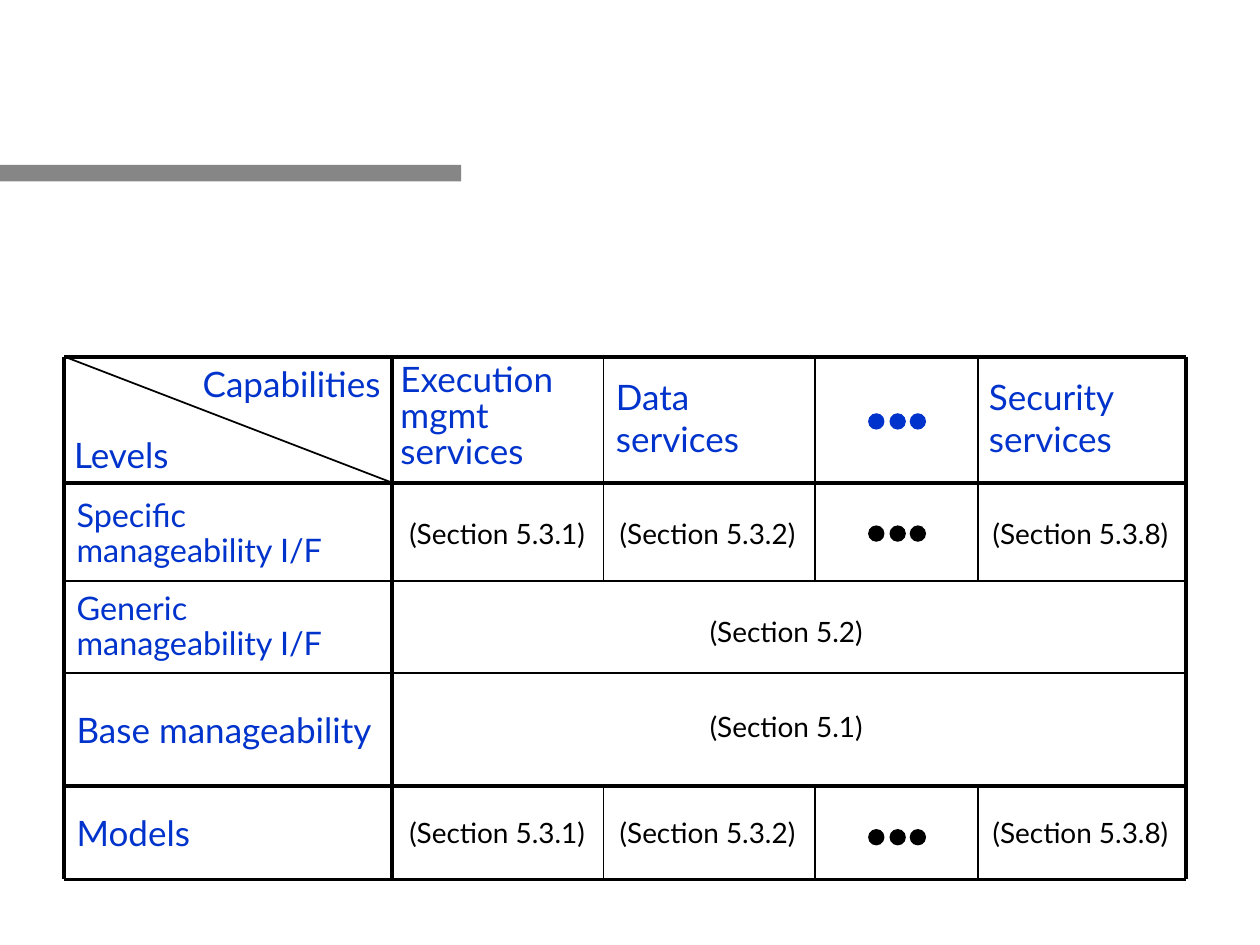
from dataclasses import dataclass

from lxml import etree
from pptx import Presentation
from pptx.dml.color import RGBColor
from pptx.enum import shapes, text
from pptx.oxml.ns import qn
from pptx.util import Inches, Pt

COLORS = {"label": "0033CC", "ink": "000000", "bar": "868686"}
FONT = "Lato"
THICK, THIN = 2.25, 1

# Grid of the matrix: column edges, then row edges
LEFT, LABEL_END, DATA, MORE, SECURITY, RIGHT = 0.51, 3.11, 4.79, 6.47, 7.76, 9.41
TOP, SPECIFIC, GENERIC, BASE, MODELS, BOTTOM = 2.83, 3.83, 4.61, 5.34, 6.24, 6.98


@dataclass
class Label:
    wording: str
    left: float
    top: float
    width: float
    height: float
    size: float = 20
    color: str = "label"
    align: text.PP_ALIGN = text.PP_ALIGN.LEFT
    anchor: text.MSO_ANCHOR = text.MSO_ANCHOR.MIDDLE
    spacing: float = 1.0
    wrap: bool = True


@dataclass
class Rule:
    x1: float
    y1: float
    x2: float
    y2: float
    weight: float


def section(number: str, left: float, top: float, width: float = 1.65) -> Label:
    """A reference to a section, centred in its cell."""
    return Label(f"(Section {number})", left, top, width, 0.37, 16, "ink",
                 text.PP_ALIGN.CENTER, text.MSO_ANCHOR.TOP, wrap=False)


def draw_label(slide, label: Label) -> None:
    box = slide.shapes.add_textbox(Inches(label.left), Inches(label.top),
                                   Inches(label.width), Inches(label.height))
    frame = box.text_frame
    frame.word_wrap = label.wrap
    frame.vertical_anchor = label.anchor
    if not label.wrap:
        frame.auto_size = text.MSO_AUTO_SIZE.SHAPE_TO_FIT_TEXT
    paragraph = frame.paragraphs[0]
    paragraph.text = label.wording
    paragraph.alignment = label.align
    paragraph.line_spacing = label.spacing
    for run in paragraph.runs:
        run.font.name = FONT
        run.font.size = Pt(label.size)
        run.font.color.rgb = RGBColor.from_string(COLORS[label.color])


def draw_rule(slide, rule: Rule) -> None:
    line = slide.shapes.add_connector(
        shapes.MSO_CONNECTOR.STRAIGHT, Inches(rule.x1), Inches(rule.y1),
        Inches(rule.x2), Inches(rule.y2))
    line.line.color.rgb = RGBColor.from_string(COLORS["ink"])
    line.line.width = Pt(rule.weight)
    etree.SubElement(line._element.spPr, qn("a:effectLst"))


def draw_solid(slide, kind: shapes.MSO_SHAPE, left: float, top: float,
               width: float, height: float, color: str) -> None:
    solid = slide.shapes.add_shape(kind, Inches(left), Inches(top),
                                   Inches(width), Inches(height))
    solid.shadow.inherit = False
    solid.fill.solid()
    solid.fill.fore_color.rgb = RGBColor.from_string(COLORS[color])
    solid.line.fill.background()


def draw_ellipsis(slide, top: float, color: str) -> None:
    """Three dots standing for the columns left out."""
    for left in (6.89, 7.06, 7.22):
        draw_solid(slide, shapes.MSO_SHAPE.OVAL, left, top, 0.13, 0.13, color)


ROW_WEIGHTS = {TOP: THICK, SPECIFIC: THICK, GENERIC: THIN,
               BASE: THIN, MODELS: THICK, BOTTOM: THICK}
RULES = [Rule(LEFT, y, RIGHT, y, weight) for y, weight in ROW_WEIGHTS.items()]
RULES += [Rule(x, TOP, x, BOTTOM, THICK) for x in (LEFT, LABEL_END, RIGHT)]
RULES += [Rule(x, start, x, end, THIN)
          for start, end in ((TOP, GENERIC), (MODELS, BOTTOM))
          for x in (DATA, MORE, SECURITY)]
RULES.append(Rule(LEFT, TOP, LABEL_END, SPECIFIC, THIN))

LABEL_WIDTH = LABEL_END - LEFT
HEADING = {"top": 2.8, "width": 1.68, "height": 1.03}
LABELS = [
    Label("Levels", 0.49, 3.39, 1, 0.44, wrap=False),
    Label("Capabilities", 1.41, 2.89, 1.71, 0.37, align=text.PP_ALIGN.RIGHT,
          spacing=0.8, wrap=False),
    Label("Execution\vmgmt\vservices", 3.08, **HEADING, spacing=0.85),
    Label("Data services", DATA, **HEADING),
    Label("Security services", 7.75, **HEADING),
    Label("Specific manageability I/F", LEFT, 3.87, LABEL_WIDTH, 0.74, 18.5, spacing=0.9),
    Label("Generic manageability I/F", LEFT, GENERIC, LABEL_WIDTH, 0.74, 18.5, spacing=0.9),
    Label("Base manageability", LEFT, BASE, LABEL_WIDTH, 0.9),
    Label("Models", LEFT, MODELS, LABEL_WIDTH, 0.74),
    section("5.2", 5.51, 4.83, 1.46),
    section("5.1", 5.51, 5.58, 1.46),
]
LABELS += [section(number, left, top)
           for top in (4.05, 6.42)
           for number, left in (("5.3.1", 3.12), ("5.3.2", 4.79), ("5.3.8", 7.75))]


def main() -> None:
    deck = Presentation()
    deck.slide_width, deck.slide_height = Inches(10), Inches(7.5)
    slide = deck.slides.add_slide(deck.slide_layouts[6])
    draw_solid(slide, shapes.MSO_SHAPE.RECTANGLE, 0, 1.31, 3.66, 0.13, "bar")
    for rule in RULES:
        draw_rule(slide, rule)
    for label in LABELS:
        draw_label(slide, label)
    for top, color in ((3.28, "label"), (4.17, "ink"), (6.58, "ink")):
        draw_ellipsis(slide, top, color)
    deck.save("out.pptx")


if __name__ == "__main__":
    main()
